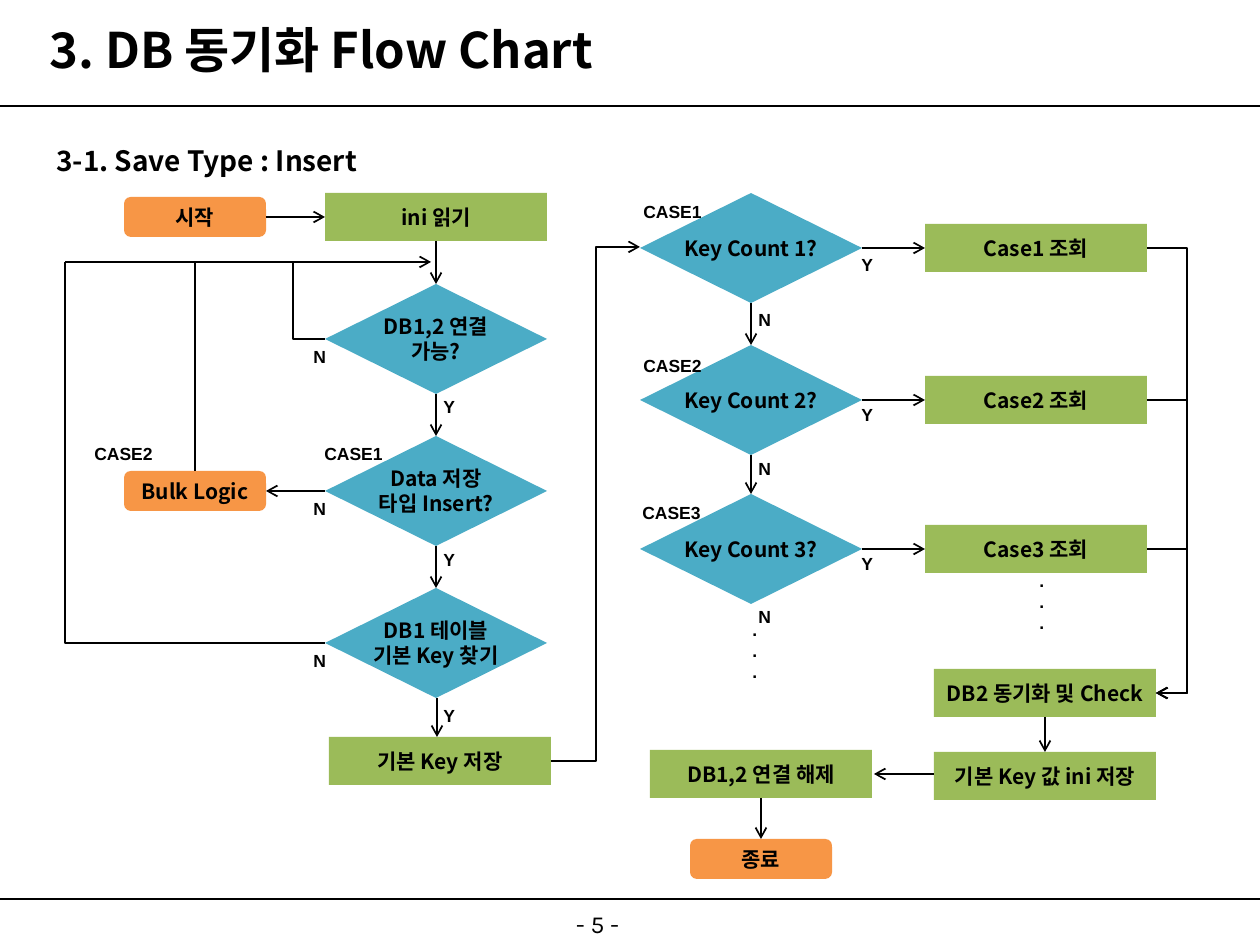
from lxml import etree
from pptx import Presentation
from pptx import util as u
from pptx.dml.color import RGBColor
from pptx.enum import shapes, text
from pptx.oxml.ns import qn

PX = 914400 / 126
BLACK = RGBColor(0x00, 0x00, 0x00)
ORANGE = RGBColor(0xF7, 0x96, 0x46)
GREEN = RGBColor(0x9B, 0xBB, 0x59)
BLUE = RGBColor(0x4B, 0xAC, 0xC6)
KOREAN = "Noto Sans CJK KR"
TOP, LEFT, BOTTOM, RIGHT = range(4)

# kind: preset, fill, width, height
KINDS = {
    "terminal": (shapes.MSO_SHAPE.FLOWCHART_ALTERNATE_PROCESS, ORANGE, 142, 40),
    "process": (shapes.MSO_SHAPE.RECTANGLE, GREEN, 222, 48),
    "decision": (shapes.MSO_SHAPE.DIAMOND, BLUE, 222, 110),
}
LEFT_X, KEY_X, CASE_X, SAVE_X = 325, 640, 925, 934
CHECK_YS = (284, 436, 588)
KEY_YS = (193, 345, 494)

# name: kind, left, top, lines
STEPS = {
    "start": ("terminal", 124, 197, ["시작"]),
    "read": ("process", LEFT_X, 193, ["ini 읽기"]),
    "connected": ("decision", LEFT_X, CHECK_YS[0], ["DB1,2 연결", "가능?"]),
    "insert": ("decision", LEFT_X, CHECK_YS[1], ["Data 저장", "타입 Insert?"]),
    "find": ("decision", LEFT_X, CHECK_YS[2], ["DB1 테이블", "기본 Key 찾기"]),
    "bulk": ("terminal", 124, 471, ["Bulk Logic"]),
    "key": ("process", 329, 737, ["기본 Key 저장"]),
    "sync": ("process", SAVE_X, 669, ["DB2 동기화 및 Check"]),
    "save": ("process", SAVE_X, 752, ["기본 Key 값 ini 저장"]),
    "release": ("process", 650, 750, ["DB1,2 연결 해제"]),
    "end": ("terminal", 690, 839, ["종료"]),
}
JOINS = [
    ("start", RIGHT, "read", LEFT),
    ("read", BOTTOM, "connected", TOP),
    ("connected", BOTTOM, "insert", TOP),
    ("insert", BOTTOM, "find", TOP),
    ("insert", LEFT, "bulk", RIGHT),
    ("key1", BOTTOM, "key2", TOP),
    ("key2", BOTTOM, "key3", TOP),
    ("sync", BOTTOM, "save", TOP),
    ("release", BOTTOM, "end", TOP),
]
for number, key_y in enumerate(KEY_YS, 1):
    STEPS[f"key{number}"] = ("decision", KEY_X, key_y, [f"Key Count {number}?"])
    STEPS[f"case{number}"] = ("process", CASE_X, key_y + 31, [f"Case{number} 조회"])
    JOINS.append((f"key{number}", RIGHT, f"case{number}", LEFT))

# x1, y1, x2, y2, arrow
LINES = [
    (437, 698, 437, 737, True),
    (934, 774, 874, 774, True),
    (195, 471, 195, 262, False),
    (65, 262, 296, 262, False),
]
# x1, y1, x2, y2, x of the vertical part, arrow
BENDS = [
    (325, 339, 431, 262, 293, True),
    (325, 643, 65, 262, 65, False),
    (551, 761, 640, 247, 596, True),
] + [(1147, y + 55, 1156, 693, 1187, True) for y in KEY_YS]

SIZES = {"Y": (37, 34), "N": (38, 34), "CASE": (84, 34), ".": (30, 77)}
LABELS = [
    ("CASE1", 631, 194), ("CASE2", 631, 349), ("CASE3", 630, 495),
    ("CASE1", 312, 437), ("CASE2", 82, 437), (".", 740, 612), (".", 1027, 563),
]
LABELS += [("N", 301, y + 55) for y in CHECK_YS]
LABELS += [("Y", 431, y) for y in (389, 542, 698)]
LABELS += [("Y", 849, y) for y in (248, 397, 546)]
LABELS += [("N", 746, y) for y in (302, 451, 600)]


def px(*values):
    return [u.Emu(round(value * PX)) for value in values]


def write(shape, lines, size, font=KOREAN, bold=True, align=text.PP_ALIGN.LEFT,
          anchor=text.MSO_ANCHOR.MIDDLE, wrap=False):
    frame = shape.text_frame
    frame.text = "\n".join(lines)
    frame.word_wrap = wrap
    frame.vertical_anchor = anchor
    for para in frame.paragraphs:
        para.alignment = align
        para.font.size, para.font.name, para.font.bold = u.Pt(size), font, bold
        para.font.color.rgb = BLACK
        east_asian = etree.SubElement(para._p.pPr.find(qn("a:defRPr")), qn("a:ea"))
        east_asian.set("typeface", font)
    return frame


def add_step(page, kind, left, top, lines):
    preset, fill, width, height = KINDS[kind]
    shape = page.shapes.add_shape(preset, *px(left, top, width, height))
    shape.shadow.inherit = False
    shape.fill.solid()
    shape.fill.fore_color.rgb = fill
    shape.line.fill.background()
    write(shape, lines, 12, align=text.PP_ALIGN.CENTER)
    return shape


def add_line(page, x1, y1, x2, y2, arrow=False, width=1, bend_x=None):
    kind = shapes.MSO_CONNECTOR.STRAIGHT if bend_x is None else shapes.MSO_CONNECTOR.ELBOW
    line = page.shapes.add_connector(kind, *px(x1, y1, x2, y2))
    line.line.color.rgb = BLACK
    line.line.width = u.Pt(width)
    properties = line._element.spPr
    if arrow:
        etree.SubElement(properties.find(qn("a:ln")), qn("a:tailEnd"), type="arrow")
    if bend_x is not None:
        share = round((bend_x - x1) / (x2 - x1) * 100000)
        guides = properties.find(qn("a:prstGeom")).get_or_add_avLst()
        etree.SubElement(guides, qn("a:gd"), name="adj1", fmla=f"val {share}")
    etree.SubElement(properties, qn("a:effectLst"))
    return line


def main():
    deck = Presentation()
    deck.slide_width, deck.slide_height = u.Inches(10), u.Inches(7.5)
    page = deck.slides.add_slide(deck.slide_layouts[5])

    title = page.shapes.title
    title.left, title.top, title.width, title.height = px(37, 19, 1228, 59)
    write(title, ["3. DB 동기화 Flow Chart"], 28, wrap=True)
    subtitle = page.shapes.add_textbox(*px(44, 121, 489, 63))
    frame = write(subtitle, ["3-1. Save Type : Insert"], 16,
                  anchor=text.MSO_ANCHOR.TOP, wrap=True)
    frame.paragraphs[0].line_spacing = 1.5
    footer = page.shapes.add_textbox(*px(501, 903, 193, 42))
    write(footer, ["- 5 -"], 14, "Karla", False, text.PP_ALIGN.CENTER,
          text.MSO_ANCHOR.TOP, True)
    for rule_y in (106, 899):
        add_line(page, 0, rule_y, 1260, rule_y, width=0.75)

    steps = {name: add_step(page, *step) for name, step in STEPS.items()}
    for source, source_side, target, target_side in JOINS:
        line = add_line(page, 0, 0, 1, 1, arrow=True)
        line.begin_connect(steps[source], source_side)
        line.end_connect(steps[target], target_side)
    for line in LINES:
        add_line(page, *line)
    for x1, y1, x2, y2, bend_x, arrow in BENDS:
        add_line(page, x1, y1, x2, y2, arrow, bend_x=bend_x)

    for label, left, top in LABELS:
        box = page.shapes.add_textbox(*px(left, top, *SIZES[label.rstrip("123")]))
        write(box, [label] * (3 if label == "." else 1), 10, "Arial")

    deck.save("out.pptx")


if __name__ == "__main__":
    main()
